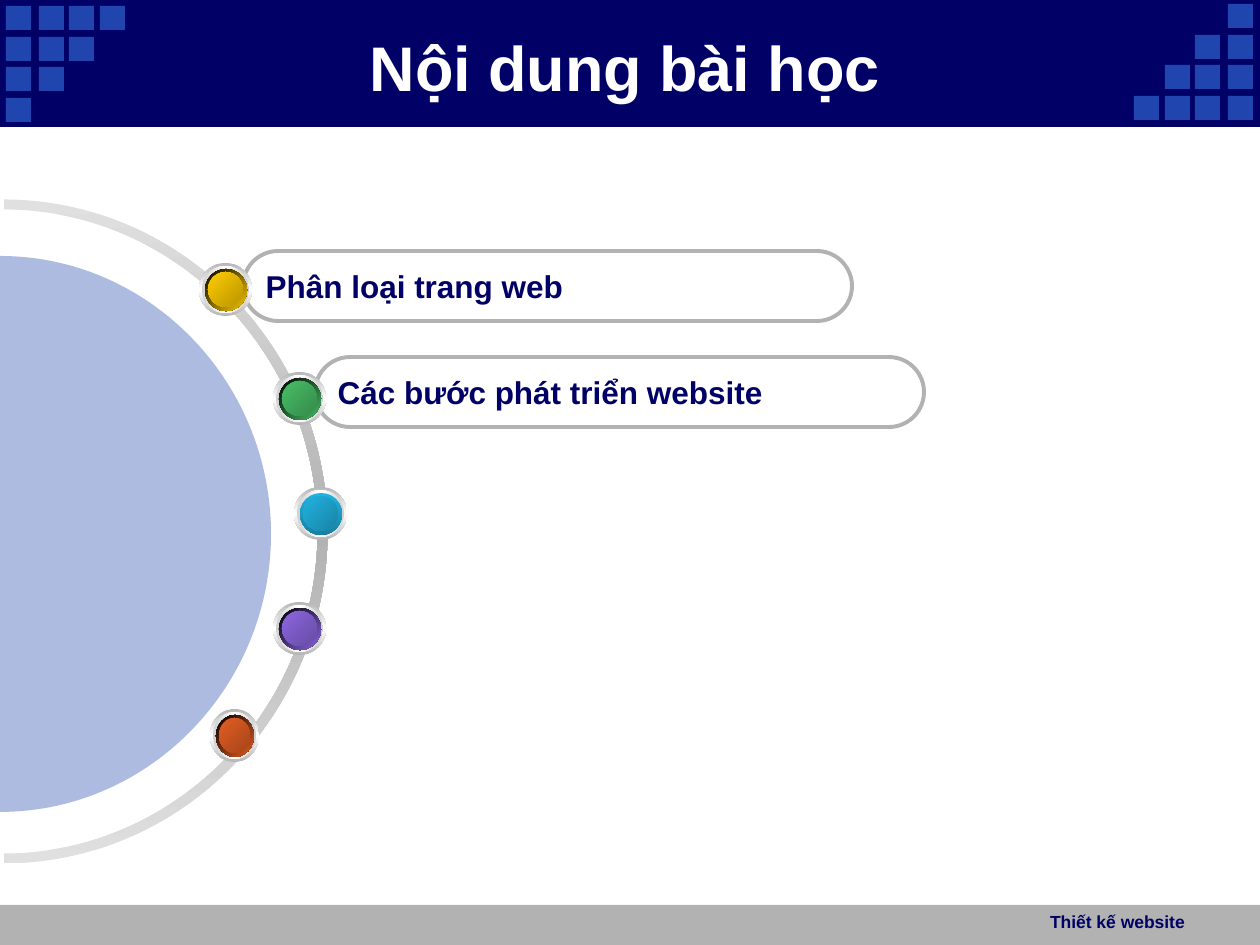
from dataclasses import dataclass

from lxml import etree
from pptx import Presentation
from pptx.dml.color import RGBColor
from pptx.enum.shapes import MSO_SHAPE
from pptx.enum.text import MSO_ANCHOR, PP_ALIGN
from pptx.oxml.ns import qn
from pptx.util import Pt

RECT, PILL, OVAL = MSO_SHAPE.RECTANGLE, MSO_SHAPE.ROUNDED_RECTANGLE, MSO_SHAPE.OVAL
LEFT, CENTER, RIGHT = PP_ALIGN.LEFT, PP_ALIGN.CENTER, PP_ALIGN.RIGHT
TOP, MIDDLE = MSO_ANCHOR.TOP, MSO_ANCHOR.MIDDLE
SCALE = 914400 / 126
WIDTH, HEIGHT = 1260, 945
KAPPA = 0.55


@dataclass(frozen=True)
class Theme:
    font: str = "Arial"
    navy: str = "000066"
    blue: str = "2045AE"
    gray: str = "B2B2B2"
    pale: str = "E0E0E0"
    white: str = "FFFFFF"
    black: str = "000000"
    rim: str = "B6B6B6"
    bezel: str = "D1D1D1"
    head: int = 36
    item: int = 18
    foot: int = 10


THEME = Theme()
ITEMS = [
    (315, 357, "Các bước phát triển website"),
    (243, 251, "Phân loại trang web"),
]
KNOBS = [
    (199, 263, 53, (THEME.black, "FFCC00"), 45, "FFCC00", "BA9500"),
    (273, 372, 53, (THEME.black, "48BE67"), 45, "48BE67", "358B4B"),
    (294, 487, 53, ("21B3E1", "1880A1"), 90, "21B3E1", "1883A4"),
    (273, 602, 53, (THEME.black, "8D67E1"), 45, "8D67E1", "674BA4"),
    (210, 709, 49, (THEME.black, "E35E23"), 45, "E35E23", "A6451A"),
]


def emu(px):
    return round(px * SCALE)


def box(*px):
    return [emu(n) for n in px]


def rgb(code):
    return RGBColor.from_string(code)


def paint(shape, color, alpha=None):
    shape.shadow.inherit = False
    shape.line.fill.background()
    shape.fill.solid()
    shape.fill.fore_color.rgb = rgb(color)
    if alpha:
        node = shape._element.spPr.find(qn("a:solidFill"))[0]
        etree.SubElement(node, qn("a:alpha"), val=str(alpha * 1000))


def blend(shape, colors, angle):
    shape.shadow.inherit = False
    shape.line.fill.background()
    shape.fill.gradient()
    shape.fill.gradient_angle = -angle % 360
    stops = shape._element.spPr.find(qn("a:gradFill")).find(qn("a:gsLst"))
    for stop in list(stops):
        stops.remove(stop)
    for i, color in enumerate(colors):
        place = round(100000 * i / (len(colors) - 1))
        stop = etree.SubElement(stops, qn("a:gs"), pos=str(place))
        etree.SubElement(stop, qn("a:srgbClr"), val=color)


def write(shape, text, size, color, align=LEFT, anchor=MIDDLE):
    frame = shape.text_frame
    frame.word_wrap = True
    frame.vertical_anchor = anchor
    para = frame.paragraphs[0]
    para.alignment = align
    run = para.add_run()
    run.text = text
    font = run.font
    font.name, font.size, font.bold = THEME.font, Pt(size), True
    font.color.rgb = rgb(color)


def add_bar(shapes, top, height, color):
    paint(shapes.add_shape(RECT, *box(0, top, WIDTH, height)), color)


def add_tiles(shapes):
    cols, rows = (6, 39, 69, 100), (6, 37, 67, 98)
    left, right = shapes.add_group_shape(), shapes.add_group_shape()
    for i, y in enumerate(rows):
        for x in cols[:4 - i]:
            for group, a, b in ((left, x, y), (right, 1234 - x, 102 - y)):
                tile = group.shapes.add_shape(RECT, *box(a, b, 25, 24))
                paint(tile, THEME.blue)


def dome(mid, base, wide, tall):
    near, high = wide * KAPPA, tall * KAPPA
    top = base - tall
    return [
        (mid - wide, base), (mid - wide, base - high), (mid - near, top),
        (mid, top), (mid + near, top), (mid + wide, base - high),
        (mid + wide, base),
    ]


def add_dome(shapes, x, y, wide, tall, arcs):
    pen = shapes.build_freeform(*box(x, y))
    corners = [(x + wide, y), (x + wide, y + tall), (x, y + tall)]
    pen.add_line_segments([box(*spot) for spot in corners], close=True)
    shape = pen.convert_to_shape()
    shape.rotation = 90
    route = next(shape._element.iter(qn("a:path")))
    for step in list(route):
        route.remove(step)

    def draw(tag, spots):
        step = etree.SubElement(route, qn(tag))
        for u, v in spots:
            etree.SubElement(step, qn("a:pt"), x=str(emu(u)), y=str(emu(v)))

    for i, arc in enumerate(arcs):
        draw("a:lnTo" if i else "a:moveTo", arc[:1])
        draw("a:cubicBezTo", arc[1:4])
        draw("a:cubicBezTo", arc[4:])
    etree.SubElement(route, qn("a:close"))
    return shape


def add_dial(shapes):
    arcs = [dome(332, 324, 332, 324), dome(332, 324, 322, 314)[::-1]]
    ring = add_dome(shapes, -334, 203, 665, 658, arcs)
    blend(ring, (THEME.pale, THEME.gray, THEME.pale), 0)
    disc = add_dome(shapes, -278, 263, 556, 542, [dome(278, 271, 278, 271)])
    paint(disc, THEME.blue, 36)


def add_item(shapes, x, y, text):
    pill = shapes.add_shape(PILL, *box(x, y, 609, 70))
    pill.adjustments[0] = 0.5
    pill.shadow.inherit = False
    pill.fill.background()
    pill.line.color.rgb = rgb(THEME.gray)
    pill.line.width = Pt(2.25)
    write(pill, text, THEME.item, THEME.navy)


def add_knob(shapes, x, y, width, lip, turn, main, dark):
    group = shapes.add_group_shape()
    layers = [
        (0, 0, (THEME.rim, THEME.white, THEME.rim), 90),
        (3, 6, (THEME.bezel, THEME.white, THEME.bezel), 0),
        (6, 11, lip, turn),
        (9, 18, (main, dark), 45),
    ]
    for inset, trim, colors, angle in layers:
        place = box(x + inset, y + inset, width - trim, 53 - trim)
        blend(group.shapes.add_shape(OVAL, *place), colors, angle)


def add_title(shapes, text):
    title = shapes.title
    title.left, title.top, title.width, title.height = box(116, 27, 1018, 78)
    write(title, text, THEME.head, THEME.white, CENTER)
    shapes._spTree.append(title._element)


def main():
    deck = Presentation()
    deck.slide_width, deck.slide_height = box(WIDTH, HEIGHT)
    shapes = deck.slides.add_slide(deck.slide_layouts[5]).shapes
    add_bar(shapes, 905, 40, THEME.gray)
    add_bar(shapes, 0, 127, THEME.navy)
    add_tiles(shapes)
    foot = shapes.add_textbox(*box(987, 905, 210, 40))
    write(foot, "Thiết kế website", THEME.foot, THEME.navy, RIGHT, TOP)
    add_title(shapes, "Nội dung bài học")
    add_dial(shapes)
    for item in ITEMS:
        add_item(shapes, *item)
    for knob in KNOBS:
        add_knob(shapes, *knob)
    deck.save("out.pptx")


if __name__ == "__main__":
    main()
